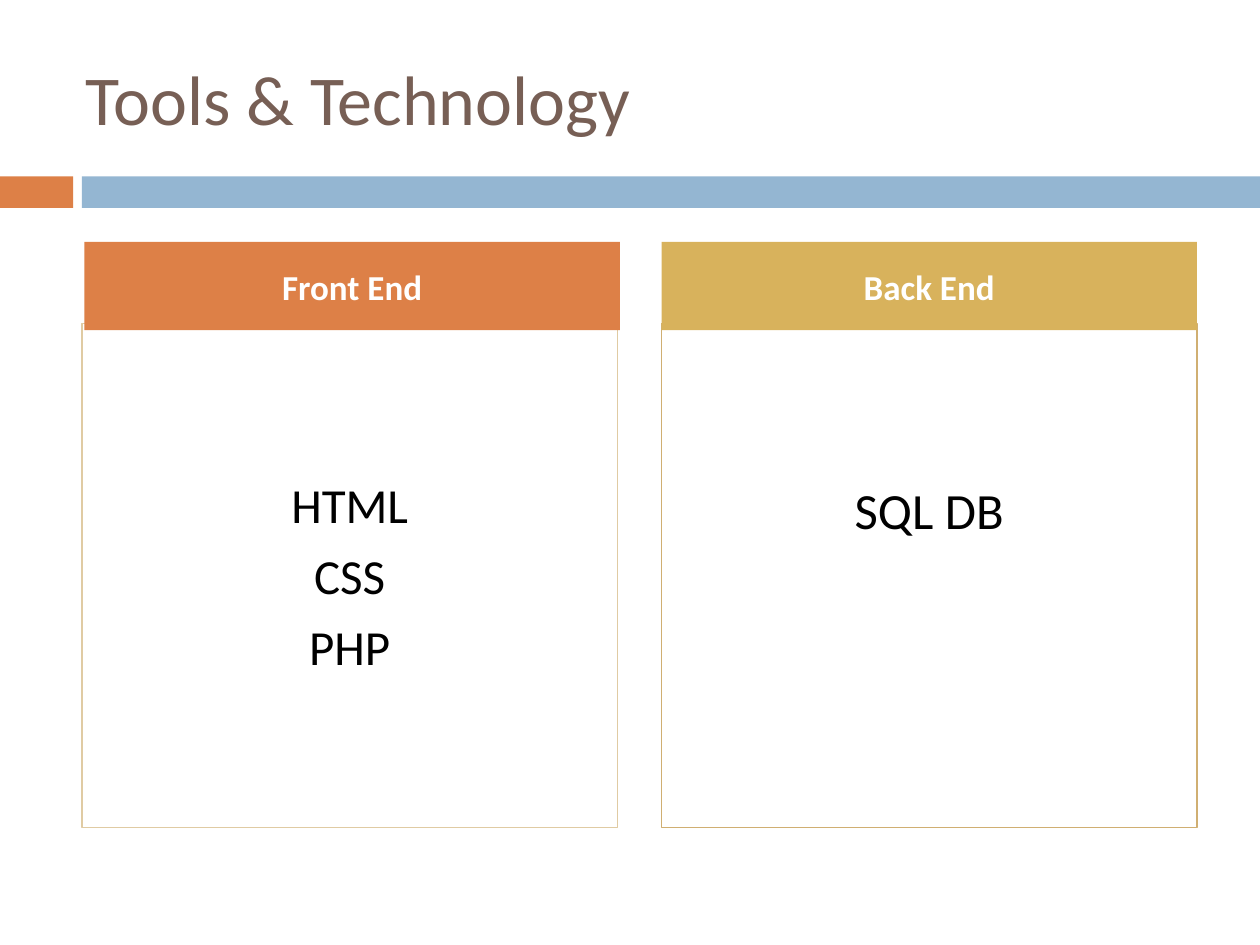
"""Builds the tools and technology slide with two headed columns."""
from dataclasses import dataclass

from pptx import Presentation
from pptx import util as u
from pptx.dml.color import RGBColor
from pptx.enum import shapes, text

WIDTH, HEIGHT = 10, 7.5
FONT = "Calibri"
ORANGE = RGBColor(0xDD, 0x80, 0x47)
BLUE = RGBColor(0x94, 0xB6, 0xD2)
GOLD = RGBColor(0xD8, 0xB2, 0x5C)
BROWN = RGBColor(0x77, 0x5F, 0x55)
SAND = RGBColor(0xE0, 0xCB, 0xA3)
TAN = RGBColor(0xD0, 0xAF, 0x72)
BLACK = RGBColor(0, 0, 0)
WHITE = RGBColor(255, 255, 255)

LEFT, PITCH, COL = 0.65, 4.6, 4.25
HEAD_TOP, HEAD_TALL = 1.92, 0.7
BODY_TOP, BODY_TALL = 2.57, 4
BAR_TOP, BAR_TALL = 1.4, 0.25
GAP, LEAD = 7, 1.22


@dataclass(frozen=True)
class Column:
    """A headed list."""
    head: str
    items: tuple[str, ...]
    fill: RGBColor
    edge: RGBColor
    size: int
    shift: float = 0


COLUMNS = (
    Column("Front End", ("HTML", "CSS", "PHP"), ORANGE, SAND, 28, 0.02),
    Column("Back End", ("SQL DB",), GOLD, TAN, 29),
)


def write(shape, *lines: str, size: int, color: RGBColor, bold: bool = False,
          align=text.PP_ALIGN.CENTER, anchor=text.MSO_ANCHOR.MIDDLE,
          top: float = 3.6) -> None:
    """Put formatted lines into a shape, with a top inset in points."""
    frame = shape.text_frame
    frame.word_wrap = True
    frame.auto_size = text.MSO_AUTO_SIZE.NONE
    frame.vertical_anchor = anchor
    frame.margin_top = u.Pt(top)
    for row, line in enumerate(lines):
        para = frame.add_paragraph() if row else frame.paragraphs[0]
        para.alignment = align
        para.space_before = u.Pt(GAP if row else 0)
        run = para.add_run()
        run.text = line
        font = run.font
        font.name, font.size, font.bold = FONT, u.Pt(size), bold
        font.color.rgb = color


def box(slide, left: float, top: float, wide: float, tall: float,
        fill: RGBColor | None = None, edge: RGBColor | None = None):
    """Add a plain rectangle measured in inches."""
    rect = slide.shapes.add_shape(
        shapes.MSO_SHAPE.RECTANGLE, *map(u.Inches, (left, top, wide, tall)))
    rect.shadow.inherit = False
    if fill is None:
        rect.fill.background()
    else:
        rect.fill.solid()
        rect.fill.fore_color.rgb = fill
    if edge is None:
        rect.line.fill.background()
    else:
        rect.line.color.rgb = edge
        rect.line.width = u.Pt(0.75)
    return rect


def draw_body(slide, left: float, col: Column) -> None:
    """Draw the outlined list, starting two lines down."""
    body = box(slide, left, BODY_TOP, COL, BODY_TALL, edge=col.edge)
    write(body, *col.items, size=col.size, color=BLACK,
          anchor=text.MSO_ANCHOR.TOP,
          top=3.6 + 2 * (LEAD * col.size + GAP))


def draw_head(slide, left: float, col: Column) -> None:
    """Draw the filled heading of a column."""
    head = box(slide, left + col.shift, HEAD_TOP, COL, HEAD_TALL, col.fill)
    write(head, col.head, size=20, color=WHITE, bold=True)


def main() -> None:
    """Build and save the slide."""
    deck = Presentation()
    deck.slide_width, deck.slide_height = u.Inches(WIDTH), u.Inches(HEIGHT)
    slide = deck.slides.add_slide(deck.slide_layouts[5])

    title = slide.shapes.title
    title.left, title.top = u.Inches(0.58), u.Inches(0.3)
    title.width, title.height = u.Inches(8.92), u.Inches(0.95)
    write(title, "Tools & Technology", size=40, color=BROWN,
          align=text.PP_ALIGN.LEFT)

    box(slide, 0, BAR_TOP, 0.58, BAR_TALL, ORANGE)
    box(slide, LEFT, BAR_TOP, WIDTH - LEFT, BAR_TALL, BLUE)

    for draw in (draw_body, draw_head):
        for spot, col in enumerate(COLUMNS):
            draw(slide, LEFT + spot * PITCH, col)

    deck.save("out.pptx")


if __name__ == "__main__":
    main()
